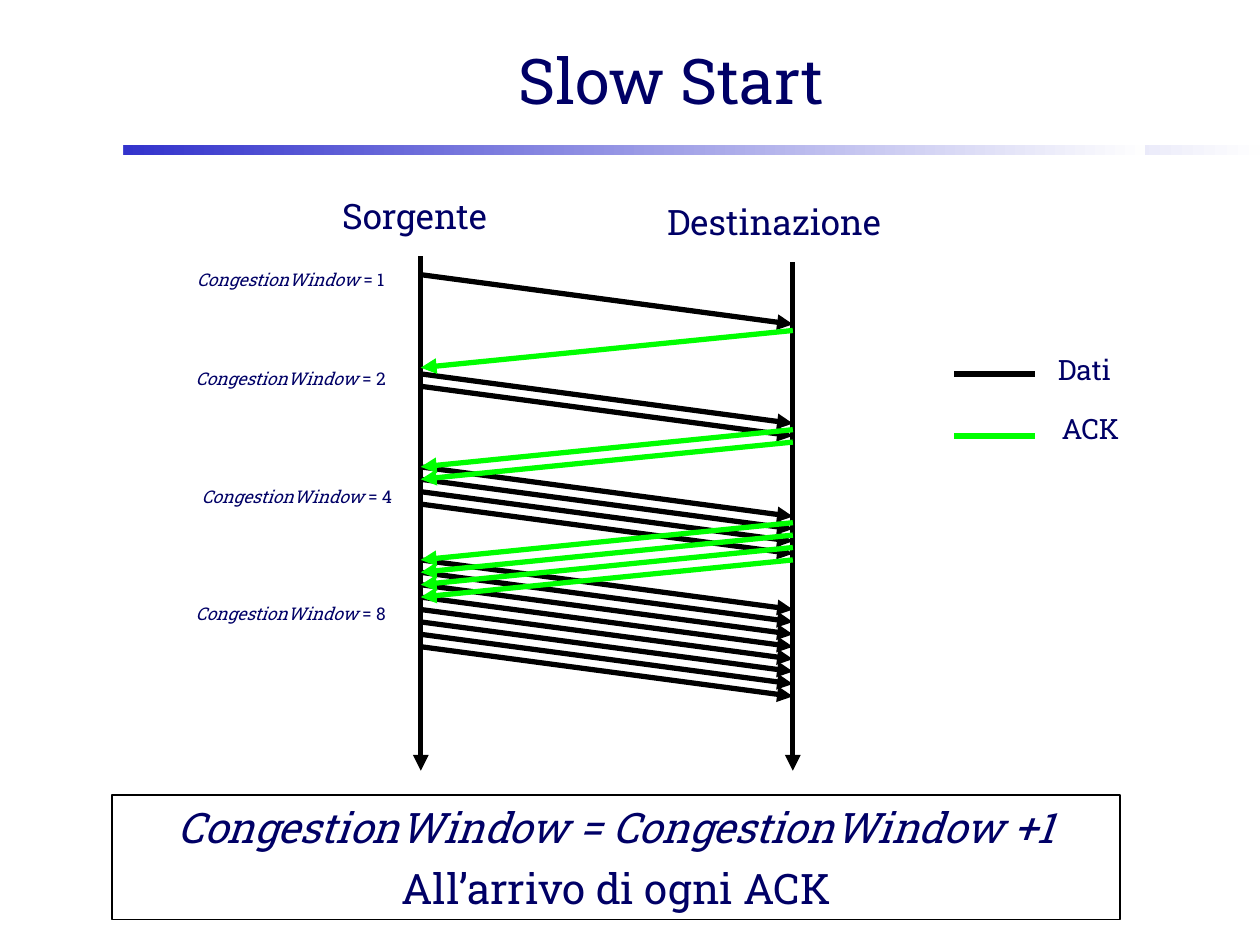
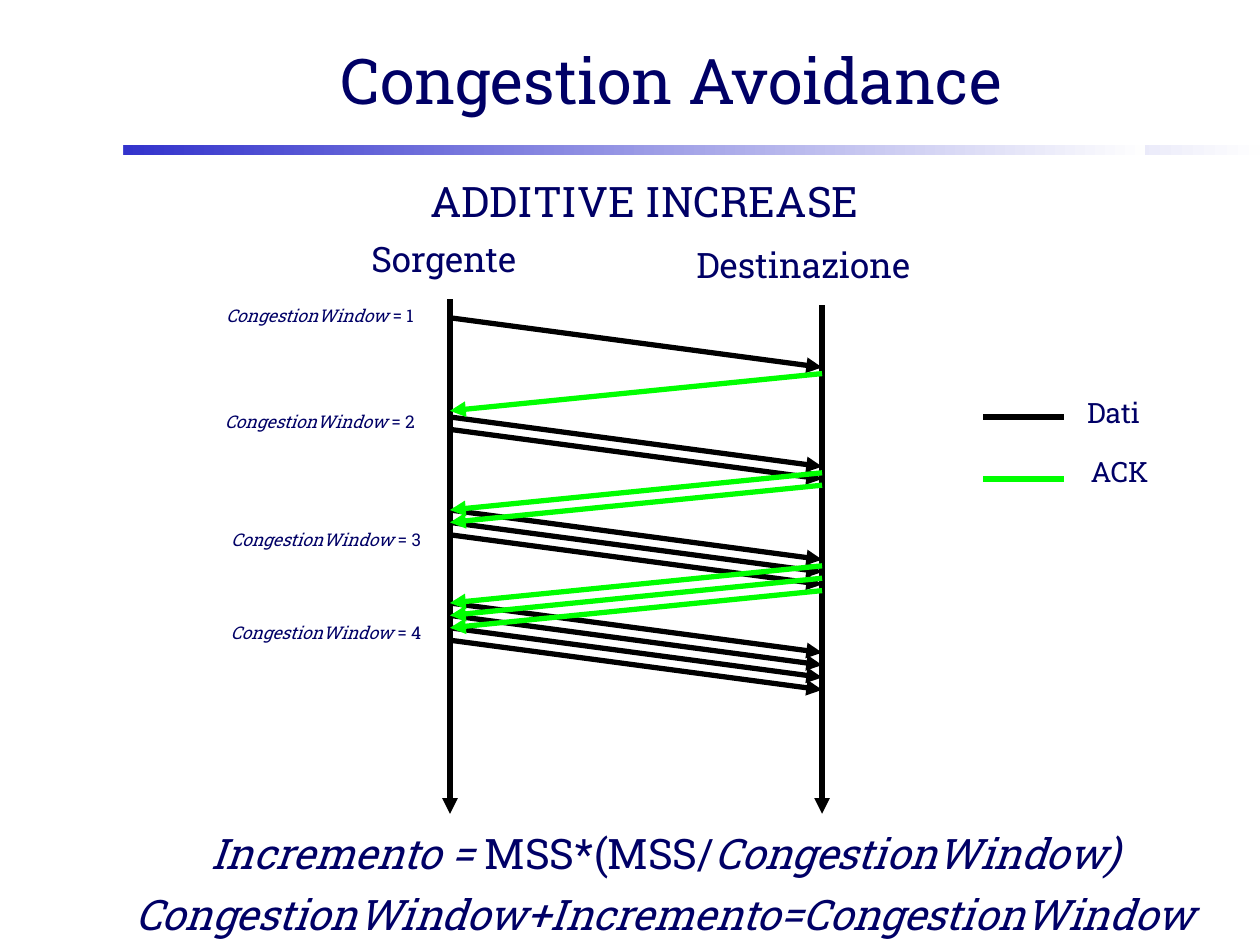
from dataclasses import dataclass
from typing import NamedTuple, Optional

from lxml.etree import SubElement
from pptx import Presentation
from pptx.dml.color import RGBColor
from pptx.enum.shapes import MSO_CONNECTOR, MSO_SHAPE
from pptx.enum.text import MSO_ANCHOR, PP_ALIGN
from pptx.oxml import parse_xml
from pptx.oxml.ns import nsdecls, qn
from pptx.util import Cm, Inches, Pt

NAVY = RGBColor(0x00, 0x00, 0x66)
BAND_BLUE = RGBColor(0x33, 0x33, 0xCC)
BAND_WHITE = RGBColor(0xFE, 0xFE, 0xFE)
BLACK = RGBColor(0x00, 0x00, 0x00)
GREEN = RGBColor(0x00, 0xFF, 0x00)
FONT = "Roboto Slab"
WIDTH, HEIGHT = Inches(10), Inches(7.5)

CELL = Cm(0.125)
LANE = 60
DATA_DROP = 8
ACK_START, ACK_END = 9, 15
PACKET_STEP = 2
ROUND_ROWS = (0, 16, 31, 46)
AXIS_END = 80

TITLE_SHADOW = (
    f'<a:effectLst {nsdecls("a")}><a:outerShdw dist="35921" dir="2700000" '
    'algn="ctr"><a:srgbClr val="808080"/></a:outerShdw></a:effectLst>'
)


class Run(NamedTuple):
    text: str
    italic: bool = False


class Box(NamedTuple):
    left: int
    top: int
    width: int
    height: int


class Cell(NamedTuple):
    col: float
    row: float


class Caption(NamedTuple):
    text: str
    center: Cell
    size: int


class LegendLine(NamedTuple):
    row: int
    color: RGBColor


@dataclass(frozen=True)
class Note:
    box: Box
    lines: tuple[tuple[Run, ...], ...]
    border: Optional[RGBColor] = None


@dataclass(frozen=True)
class Exchange:
    title: str
    left: float
    top: float
    windows: tuple[int, ...]
    window_labels: tuple[Cell, ...]
    notes: tuple[Note, ...]


def across(percent: float) -> int:
    return int(WIDTH * percent / 100)


def down(percent: float) -> int:
    return int(HEIGHT * percent / 100)


def share(left: float, top: float, width: float, height: float) -> Box:
    return Box(across(left), down(top), across(width), down(height))


CAPTIONS = (
    Caption("Sorgente", Cell(-1, -14), 20),
    Caption("Destinazione", Cell(LANE - 3, -13), 20),
    Caption("Dati", Cell(107, 11.5), 16),
    Caption("ACK", Cell(108, 21), 16),
)
LEGEND = (LegendLine(16, BLACK), LegendLine(26, GREEN))
LEGEND_FROM, LEGEND_TO = 86, 99

EXCHANGES = (
    Exchange(
        "Slow Start", 33.4, 29.07, (1, 2, 4, 8),
        (Cell(-21, -2), Cell(-21, 14), Cell(-20, 33), Cell(-21, 52)),
        (
            Note(
                share(8.9, 84.13, 80, 13.2),
                (
                    (Run("CongestionWindow = CongestionWindow +1", True),),
                    (Run("All’arrivo di ogni ACK"),),
                ),
                BLACK,
            ),
        ),
    ),
    Exchange(
        "Congestion Avoidance", 35.72, 33.63, (1, 2, 3, 4),
        (Cell(-21, -3), Cell(-21, 14), Cell(-20, 33), Cell(-20, 48)),
        (
            Note(share(28.7, 17.87, 44.9, 6.67), ((Run("ADDITIVE INCREASE"),),)),
            Note(
                share(6.5, 86.93, 92.5, 13.07),
                (
                    (
                        Run("Incremento = ", True),
                        Run("MSS*(MSS/"),
                        Run("CongestionWindow)", True),
                    ),
                    (Run("CongestionWindow+Incremento=CongestionWindow", True),),
                ),
            ),
        ),
    ),
)


def style_run(run, size: int, italic: bool = False) -> None:
    formats = {"name": FONT, "size": Pt(size), "italic": italic, "bold": False}
    for attribute, value in formats.items():
        setattr(run.font, attribute, value)
    run.font.color.rgb = NAVY


def add_text(slide, box: Box, lines, size: int, border=None) -> None:
    panel = slide.shapes.add_textbox(*box)
    if border is not None:
        panel.line.color.rgb = border
        panel.line.width = Pt(0.75)
    frame = panel.text_frame
    frame.word_wrap = False
    frame.vertical_anchor = MSO_ANCHOR.TOP
    for index, runs in enumerate(lines):
        paragraph = frame.add_paragraph() if index else frame.paragraphs[0]
        paragraph.alignment = PP_ALIGN.CENTER
        if index:
            paragraph.space_before = Pt(size / 4)
        for text, italic in runs:
            run = paragraph.add_run()
            run.text = text
            style_run(run, size, italic)


def add_bands(slide, layout) -> None:
    for position, width in enumerate((90.2, 81.1)):
        band = slide.shapes.add_shape(
            MSO_SHAPE.RECTANGLE, *share(9.8, 15.33, width, 1.07))
        band.shadow.inherit = False
        band.line.fill.background()
        band.fill.gradient()
        band.fill.gradient_angle = 0
        for stop, color in zip(band.fill.gradient_stops, (BAND_BLUE, BAND_WHITE)):
            stop.color.rgb = color
        layout.shapes._spTree.insert(2 + position, band._element)


def set_title(slide, title: str) -> None:
    frame = slide.shapes.title.text_frame
    frame.vertical_anchor = MSO_ANCHOR.MIDDLE
    paragraph = frame.paragraphs[0]
    paragraph.alignment = PP_ALIGN.CENTER
    run = paragraph.add_run()
    run.text = title
    style_run(run, 36)
    run.font.fill._xPr.find(qn("a:solidFill")).addnext(parse_xml(TITLE_SHADOW))


class Diagram:
    def __init__(self, slide, exchange: Exchange) -> None:
        self.slide = slide
        self.exchange = exchange

    def point(self, cell: Cell) -> tuple[int, int]:
        return (
            across(self.exchange.left) + int(cell.col * CELL),
            down(self.exchange.top) + int(cell.row * CELL),
        )

    def line(self, start: Cell, end: Cell, color: RGBColor, arrow: bool = True) -> None:
        link = self.slide.shapes.add_connector(
            MSO_CONNECTOR.STRAIGHT, *self.point(start), *self.point(end))
        link.line.color.rgb = color
        link.line.width = Pt(3)
        if arrow:
            SubElement(link.line._get_or_add_ln(), qn("a:tailEnd"), type="triangle")
        SubElement(link._element.spPr, qn("a:effectLst"))

    def label(self, center: Cell, runs: tuple[Run, ...], size: int) -> None:
        x, y = self.point(center)
        width = 50 * CELL
        box = Box(x - width // 2, y, width, int(Pt(size * 1.3) + Inches(0.1)))
        add_text(self.slide, box, (runs,), size)

    def packet_rows(self, rounds: int) -> list[int]:
        return [
            start + packet * PACKET_STEP
            for start, window in zip(ROUND_ROWS[:rounds], self.exchange.windows)
            for packet in range(window)
        ]

    def draw(self) -> None:
        for col, row in ((0, -3), (LANE, -2)):
            self.line(Cell(col, row), Cell(col, AXIS_END), BLACK)
        rounds = len(self.exchange.windows)
        for row in self.packet_rows(rounds):
            self.line(Cell(0, row), Cell(LANE, row + DATA_DROP), BLACK)
        for row in self.packet_rows(rounds - 1):
            self.line(Cell(LANE, row + ACK_START), Cell(0, row + ACK_END), GREEN)
        for row, color in LEGEND:
            self.line(Cell(LEGEND_FROM, row), Cell(LEGEND_TO, row), color, False)
        for text, center, size in CAPTIONS:
            self.label(center, (Run(text),), size)
        for window, center in zip(self.exchange.windows, self.exchange.window_labels):
            self.label(center, (Run("CongestionWindow", True), Run(f" = {window}")), 10)


def main() -> None:
    deck = Presentation()
    deck.slide_width, deck.slide_height = WIDTH, HEIGHT
    layout = deck.slide_layouts[5]
    title_box = share(10.8, 2.27, 85, 12.27)
    for number, exchange in enumerate(EXCHANGES):
        slide = deck.slides.add_slide(layout)
        if number == 0:
            add_bands(slide, layout)
        for attribute, value in title_box._asdict().items():
            setattr(slide.shapes.title, attribute, value)
        set_title(slide, exchange.title)
        Diagram(slide, exchange).draw()
        for note in exchange.notes:
            add_text(slide, note.box, note.lines, 24, note.border)
    deck.save("out.pptx")


if __name__ == "__main__":
    main()
